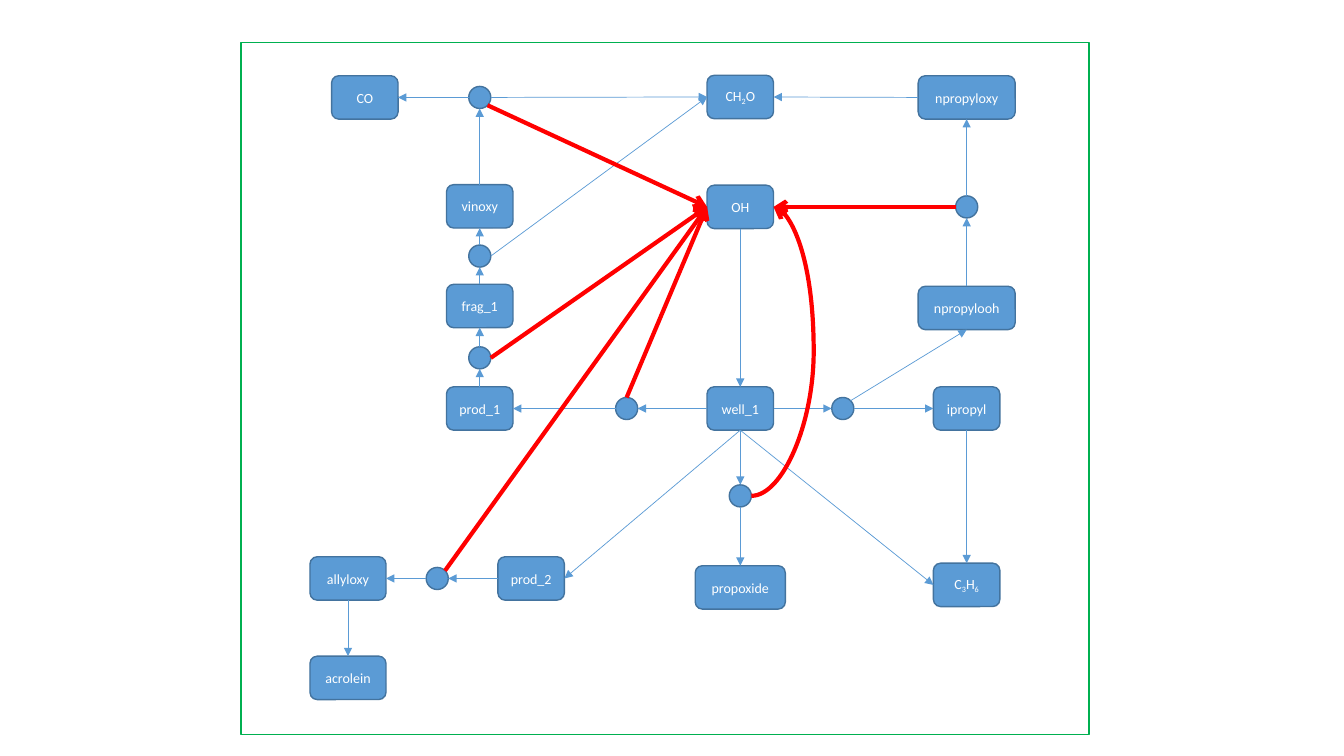
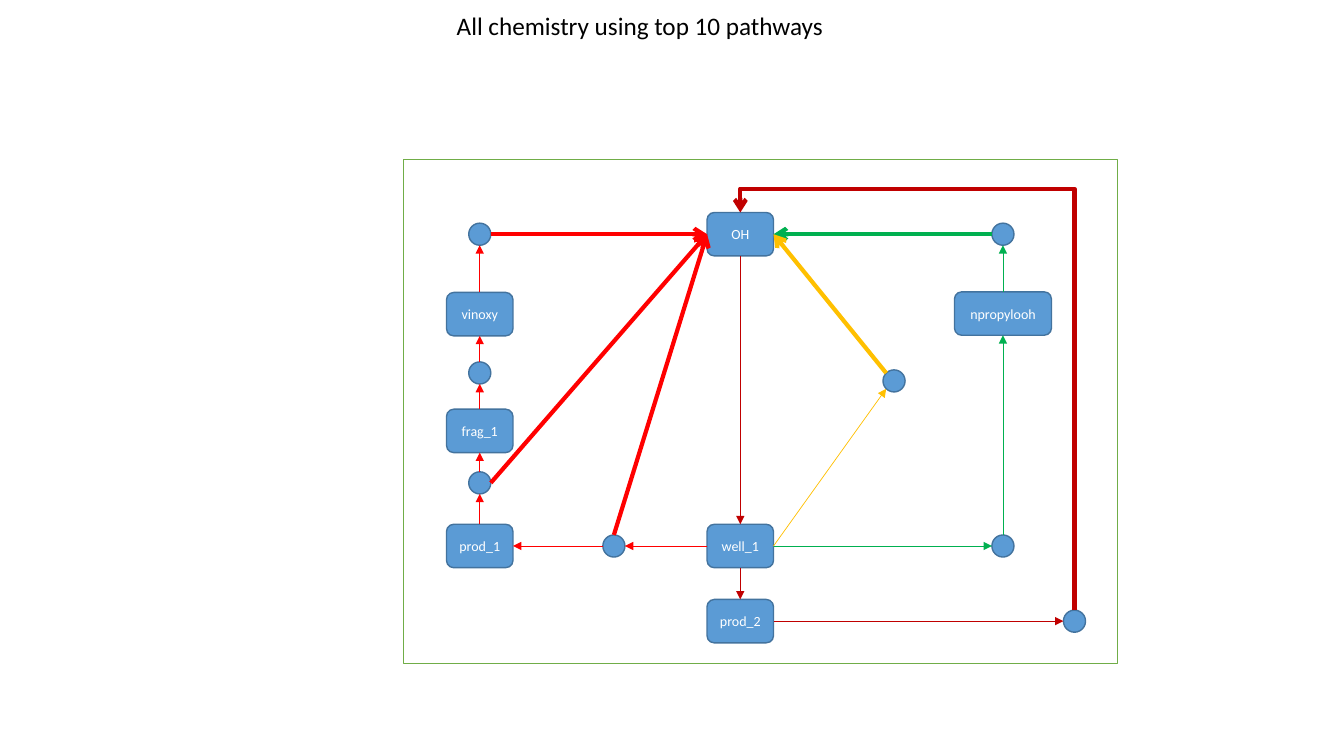
import pptx
import pptx.dml.color
import pptx.enum.shapes
import pptx.enum.text
import pptx.oxml.ns
import pptx.util
from lxml import etree

Pt = pptx.util.Pt
RGB = pptx.dml.color.RGBColor
SHAPE = pptx.enum.shapes.MSO_SHAPE
LINE = pptx.enum.shapes.MSO_CONNECTOR
TEXT = pptx.enum.text
qn = pptx.oxml.ns.qn

BLUE = RGB(0x5B, 0x9B, 0xD5)
EDGE = RGB(0x43, 0x73, 0x9E)
WHITE = RGB(0xFF, 0xFF, 0xFF)
BLACK = RGB(0, 0, 0)
RED = RGB(0xFF, 0, 0)
MAROON = RGB(0xC0, 0, 0)
GREEN = RGB(0, 0xB0, 0x50)
OLIVE = RGB(0x70, 0xAD, 0x47)
GOLD = RGB(0xFF, 0xC0, 0)

FONT = "Calibri"
BOX_W, BOX_H, DOT = 47.5, 31, 15.8
SMALL, MID, WIDE = 54.3, 64.4, 69.3
CHAIN, CORE = 342.7, 528.8
DIAG = 0.707
STEP = {"n": (0, -1), "s": (0, 1), "w": (-1, 0), "e": (1, 0)}

RIGHT1, TOP1, OH1, WELL1, LOW1 = 690.5, 69.6, 147.8, 291.8, 413.2
BOXES1 = {
    "CO": (260.6, TOP1),
    "CH|2|O": (CORE, 69.3),
    "npropyloxy": (RIGHT1, TOP1, WIDE),
    "vinoxy": (CHAIN, 147.4),
    "OH": (CORE, OH1),
    "frag_1": (CHAIN, 218.6),
    "npropylooh": (RIGHT1, 220, WIDE),
    "prod_1": (CHAIN, WELL1),
    "well_1": (CORE, WELL1),
    "ipropyl": (RIGHT1, WELL1),
    "C|3|H|6": (RIGHT1, 417.8),
    "prod_2": (379.4, LOW1),
    "allyloxy": (248.6, LOW1, SMALL),
    "acrolein": (248.6, 484.2, SMALL),
    "propoxide": (CORE, 419.6, MID),
}
DOTS1 = {
    "co_dot": (CHAIN, TOP1),
    "vin_dot": (CHAIN, 182.9),
    "frag_dot": (CHAIN, 255.6),
    "prod_dot": (447.6, WELL1),
    "prop_dot": (602, WELL1),
    "ox_dot": (CORE, 354.2),
    "all_dot": (312.3, LOW1),
    "nprop_dot": (RIGHT1, OH1),
}
THIN1 = [
    "OH s > well_1 n", "well_1 s > C|3|H|6 w", "ipropyl s > C|3|H|6 n",
    "co_dot e > CH|2|O w", "co_dot w > CO e", "vinoxy n > co_dot s",
    "frag_1 n > vin_dot s", "vin_dot n > vinoxy s", "vin_dot e > CH|2|O w",
    "prod_1 n > frag_dot s", "frag_dot n > frag_1 s",
    "well_1 w > prod_dot e", "prod_dot w > prod_1 e",
    "well_1 e > prop_dot w", "prop_dot ne > npropylooh s",
    "prop_dot e > ipropyl w", "well_1 s > ox_dot n",
    "ox_dot s > propoxide n", "well_1 s > prod_2 e",
    "prod_2 w > all_dot e", "all_dot w > allyloxy e",
    "allyloxy s > acrolein n", "npropyloxy w > CH|2|O e",
    "npropylooh n > nprop_dot s", "nprop_dot n > npropyloxy s",
]
THICK1 = [
    "co_dot se > OH w", "nprop_dot w > OH e", "prod_dot n > OH w",
    "frag_dot e > OH w", "all_dot ne > OH w",
]

RIGHT2, TOP2, WELL2, LOW2 = 716.4, 167.3, 390, 443.7
BOXES2 = {
    "OH": (CORE, TOP2),
    "vinoxy": (CHAIN, 224.4),
    "npropylooh": (RIGHT2, 224, WIDE),
    "frag_1": (CHAIN, 307.8),
    "prod_1": (CHAIN, WELL2),
    "well_1": (CORE, WELL2),
    "prod_2": (CORE, LOW2),
}
DOTS2 = {
    "co_dot": (CHAIN, TOP2),
    "vin_dot": (CHAIN, 266.4),
    "frag_dot": (CHAIN, 344.9),
    "prod_dot": (438.5, WELL2),
    "prop_dot": (RIGHT2, WELL2),
    "nprop_dot": (RIGHT2, TOP2),
    "ox_dot": (638.6, 272.1),
    "all_dot": (767.5, LOW2),
}
THIN2 = {
    RED: ["vinoxy n > co_dot s", "frag_1 n > vin_dot s",
          "vin_dot n > vinoxy s", "prod_1 n > frag_dot s",
          "frag_dot n > frag_1 s", "well_1 w > prod_dot e",
          "prod_dot w > prod_1 e"],
    GREEN: ["well_1 e > prop_dot w", "prop_dot n > npropylooh s",
            "npropylooh n > nprop_dot s"],
    GOLD: ["well_1 e > ox_dot sw"],
    MAROON: ["OH s > well_1 n", "well_1 s > prod_2 n",
             "prod_2 e > all_dot w"],
}
THICK2 = {
    RED: ["co_dot e > OH w", "prod_dot n > OH w", "frag_dot e > OH w"],
    GREEN: ["nprop_dot w > OH e"],
    GOLD: ["ox_dot nw > OH e"],
}


def add_form(slide, kind, left, top, width, height, fill, edge):
    form = slide.shapes.add_shape(kind, Pt(left), Pt(top), Pt(width), Pt(height))
    form.shadow.inherit = False
    form.fill.solid()
    form.fill.fore_color.rgb = fill
    form.line.color.rgb = edge
    form.line.width = Pt(1)
    return form


def add_node(slide, kind, x, y, width, height):
    return add_form(slide, kind, x - width / 2, y - height / 2,
                    width, height, BLUE, EDGE)


def add_label(box, label):
    frame = box.text_frame
    frame.word_wrap = False
    frame.vertical_anchor = TEXT.MSO_ANCHOR.MIDDLE
    para = frame.paragraphs[0]
    para.alignment = TEXT.PP_ALIGN.CENTER
    para.font.name = FONT
    para.font.size = Pt(10)
    para.font.color.rgb = WHITE
    for index, part in enumerate(label.split("|")):
        run = para.add_run()
        run.text = part
        if index % 2:
            run.font.element.set("baseline", "-25000") if hasattr(
                run.font, "element") else run._r.get_or_add_rPr().set(
                "baseline", "-25000")


def add_nodes(slide, boxes, dots):
    nodes = {}
    for label, (x, y, *size) in boxes.items():
        width = size[0] if size else BOX_W
        box = add_node(slide, SHAPE.ROUNDED_RECTANGLE, x, y, width, BOX_H)
        add_label(box, label)
        nodes[label] = (x, y, width, BOX_H)
    for name, (x, y) in dots.items():
        add_node(slide, SHAPE.OVAL, x, y, DOT, DOT)
        nodes[name] = (x, y, DOT, DOT)
    return nodes


def find_port(nodes, port):
    name, side = port.split()
    x, y, width, height = nodes[name]
    scale = DIAG if len(side) == 2 else 1
    for mark in side:
        across, down = STEP[mark]
        x += across * scale * width / 2
        y += down * scale * height / 2
    return x, y


def find_ends(nodes, route):
    return [find_port(nodes, port) for port in route.split(" > ")]


def add_arrow(slide, kind, start, end, color, thick):
    arrow = slide.shapes.add_connector(kind, *map(Pt, (*start, *end)))
    arrow.line.color.rgb = color
    arrow.line.width = Pt(3 if thick else 0.5)
    props = arrow.element.spPr
    tail = etree.SubElement(props.find(qn("a:ln")), qn("a:tailEnd"))
    tail.set("type", "arrow" if thick else "triangle")
    etree.SubElement(props, qn("a:effectLst"))
    return arrow


def add_links(slide, nodes, routes, color, thick=False):
    for route in routes:
        start, end = find_ends(nodes, route)
        add_arrow(slide, LINE.STRAIGHT, start, end, color, thick)


def set_bend(arrow, share):
    guides = arrow.element.spPr.find(qn("a:prstGeom")).find(qn("a:avLst"))
    guide = etree.SubElement(guides, qn("a:gd"))
    guide.set("name", "adj1")
    guide.set("fmla", f"val {round(share * 100000)}")


def add_curve(slide, nodes, route, color, share):
    start, end = find_ends(nodes, route)
    set_bend(add_arrow(slide, LINE.CURVE, start, end, color, True), share)


def add_elbow(slide, nodes, route, color, share):
    (x1, y1), (x2, y2) = find_ends(nodes, route)
    mid_x, mid_y = (x1 + x2) / 2, (y1 + y2) / 2
    half_w, half_h = abs(y2 - y1) / 2, abs(x2 - x1) / 2
    arrow = add_arrow(slide, LINE.ELBOW, (mid_x - half_w, mid_y + half_h),
                      (mid_x + half_w, mid_y - half_h), color, True)
    arrow.element.spPr.find(qn("a:xfrm")).set("rot", str(270 * 60000))
    set_bend(arrow, share)


def set_title(slide, text):
    title = slide.shapes.title
    title.left, title.top = Pt(319), Pt(3.6)
    title.width, title.height = Pt(279.4), Pt(29)
    frame = title.text_frame
    frame.text = text
    frame.word_wrap = False
    frame.auto_size = TEXT.MSO_AUTO_SIZE.NONE
    frame.vertical_anchor = TEXT.MSO_ANCHOR.TOP
    para = frame.paragraphs[0]
    para.alignment = TEXT.PP_ALIGN.LEFT
    para.font.name = FONT
    para.font.size = Pt(18)
    para.font.color.rgb = BLACK


def draw_full(deck):
    slide = deck.slides.add_slide(deck.slide_layouts[6])
    add_form(slide, SHAPE.RECTANGLE, 172.2, 30.3, 605.6, 494.6, WHITE, GREEN)
    nodes = add_nodes(slide, BOXES1, DOTS1)
    add_links(slide, nodes, THIN1, BLUE)
    add_links(slide, nodes, THICK1, RED, True)
    add_curve(slide, nodes, "ox_dot e > OH e", RED, 2.81)


def draw_top(deck):
    slide = deck.slides.add_slide(deck.slide_layouts[5])
    set_title(slide, "All chemistry using top 10 pathways")
    add_form(slide, SHAPE.RECTANGLE, 288.4, 114, 510, 360, WHITE, OLIVE)
    nodes = add_nodes(slide, BOXES2, DOTS2)
    for color, routes in THIN2.items():
        add_links(slide, nodes, routes, color)
    for color, routes in THICK2.items():
        add_links(slide, nodes, routes, color, True)
    add_elbow(slide, nodes, "all_dot n > OH n", MAROON, 1.06)


def main():
    deck = pptx.Presentation()
    deck.slide_width, deck.slide_height = Pt(960), Pt(540)
    draw_full(deck)
    draw_top(deck)
    deck.save("out.pptx")


main()
